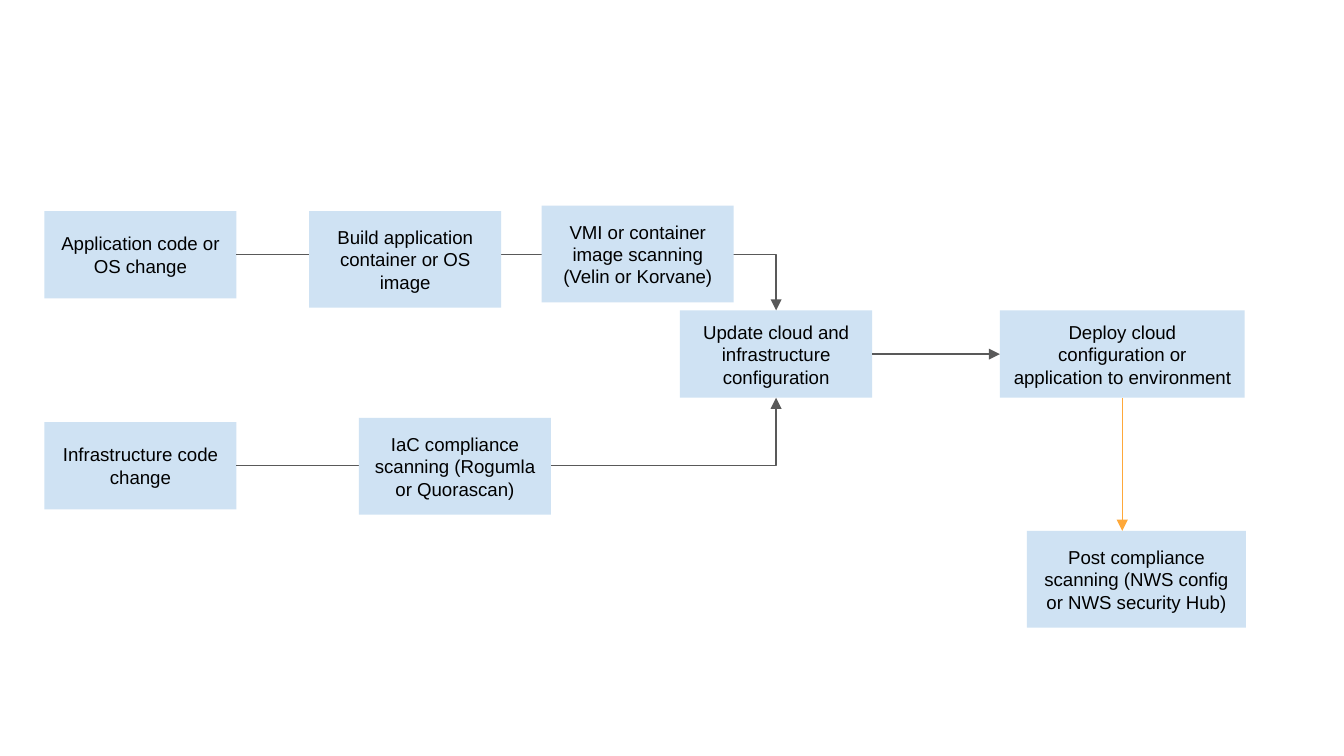
import pptx
import pptx.util
import pptx.dml.color
import pptx.enum.shapes
import pptx.enum.text
import pptx.oxml
import pptx.oxml.ns

Inches = pptx.util.Inches
RGBColor = pptx.dml.color.RGBColor
Connector = pptx.enum.shapes.MSO_CONNECTOR

PALE_BLUE = RGBColor(0xCF, 0xE2, 0xF3)
BLACK = RGBColor(0, 0, 0)
GREY = RGBColor(0x59, 0x59, 0x59)
ORANGE = RGBColor(0xFE, 0xA8, 0x3A)

TOP, LEFT, BOTTOM, RIGHT = range(4)  # connection sites of a rectangle
STEP_WIDTH = 1.43
STEP_HEIGHT, SCAN_HEIGHT = 0.65, 0.72


def write_text(shape, text, font="Arial", size=10, color=BLACK):
    frame = shape.text_frame
    frame.word_wrap = True
    frame.vertical_anchor = pptx.enum.text.MSO_ANCHOR.MIDDLE
    frame.margin_left = frame.margin_right = Inches(0.1)
    frame.margin_top = frame.margin_bottom = Inches(0.1)
    para = frame.paragraphs[0]
    para.alignment = pptx.enum.text.PP_ALIGN.CENTER
    span = para.add_run()
    span.text = text
    span.font.name = font
    span.font.size = pptx.util.Pt(size)
    span.font.color.rgb = color


def add_step(page, text, left, top, width=STEP_WIDTH, height=STEP_HEIGHT):
    step = page.shapes.add_shape(
        pptx.enum.shapes.MSO_SHAPE.RECTANGLE,
        Inches(left), Inches(top), Inches(width), Inches(height))
    step.shadow.inherit = False
    step.fill.solid()
    step.fill.fore_color.rgb = PALE_BLUE
    step.line.fill.background()
    write_text(step, text)
    return step


def add_arrow(page, start, start_site, end, end_site, kind=Connector.ELBOW,
              preset=None, color=GREY):
    arrow = page.shapes.add_connector(kind, 0, 0, 0, 0)
    arrow.begin_connect(start, start_site)
    arrow.end_connect(end, end_site)
    arrow.line.color.rgb = color
    arrow.line.width = pptx.util.Pt(0.75)
    properties = arrow._element.spPr
    if preset:
        properties.find(pptx.oxml.ns.qn("a:prstGeom")).set("prst", preset)
    namespace = pptx.oxml.ns.nsdecls("a")
    arrow.line._get_or_add_ln().append(
        pptx.oxml.parse_xml(f'<a:tailEnd {namespace} type="triangle"/>'))
    properties.append(pptx.oxml.parse_xml(f"<a:effectLst {namespace}/>"))
    return arrow


def add_pipeline(page, left, top):
    # Main steps
    deploy = add_step(page, "Deploy cloud configuration or application to environment",
                      left + 7.11, top + 0.78, width=1.82)
    update = add_step(page, "Update cloud and infrastructure configuration",
                      left + 4.73, top + 0.78)
    application = add_step(page, "Application code or OS change", left, top + 0.04)
    infrastructure = add_step(page, "Infrastructure code change", left, top + 1.61)

    # Flow lines, which run behind the scanning steps
    add_arrow(page, application, RIGHT, update, TOP, preset="bentConnector2")
    add_arrow(page, infrastructure, RIGHT, update, BOTTOM, preset="bentConnector2")
    add_arrow(page, update, RIGHT, deploy, LEFT)

    # Build and scanning steps
    for text, x, y in (
        ("IaC compliance scanning (Rogumla or Quorascan)", 2.34, 1.58),
        ("VMI or container image scanning (Velin or Korvane)", 3.70, 0),
        ("Build application container or OS image", 1.97, 0.04),
    ):
        add_step(page, text, left + x, top + y, height=SCAN_HEIGHT)
    post_scan = add_step(page, "Post compliance scanning (NWS config or NWS security Hub)",
                         left + 7.31, top + 2.42, width=1.63, height=SCAN_HEIGHT)

    # Vertical arrow to the check after deployment
    check = add_arrow(page, deploy, BOTTOM, post_scan, TOP,
                      kind=Connector.STRAIGHT, color=ORANGE)
    links = check._element.nvCxnSpPr.cNvCxnSpPr
    links.remove(links.find(pptx.oxml.ns.qn("a:endCxn")))
    check.end_x = check.begin_x


deck = pptx.Presentation()
deck.slide_width = Inches(10)
deck.slide_height = Inches(10 * 9 / 16)
page = deck.slides.add_slide(deck.slide_layouts[6])
add_pipeline(page, left=0.33, top=1.53)
deck.save("out.pptx")
